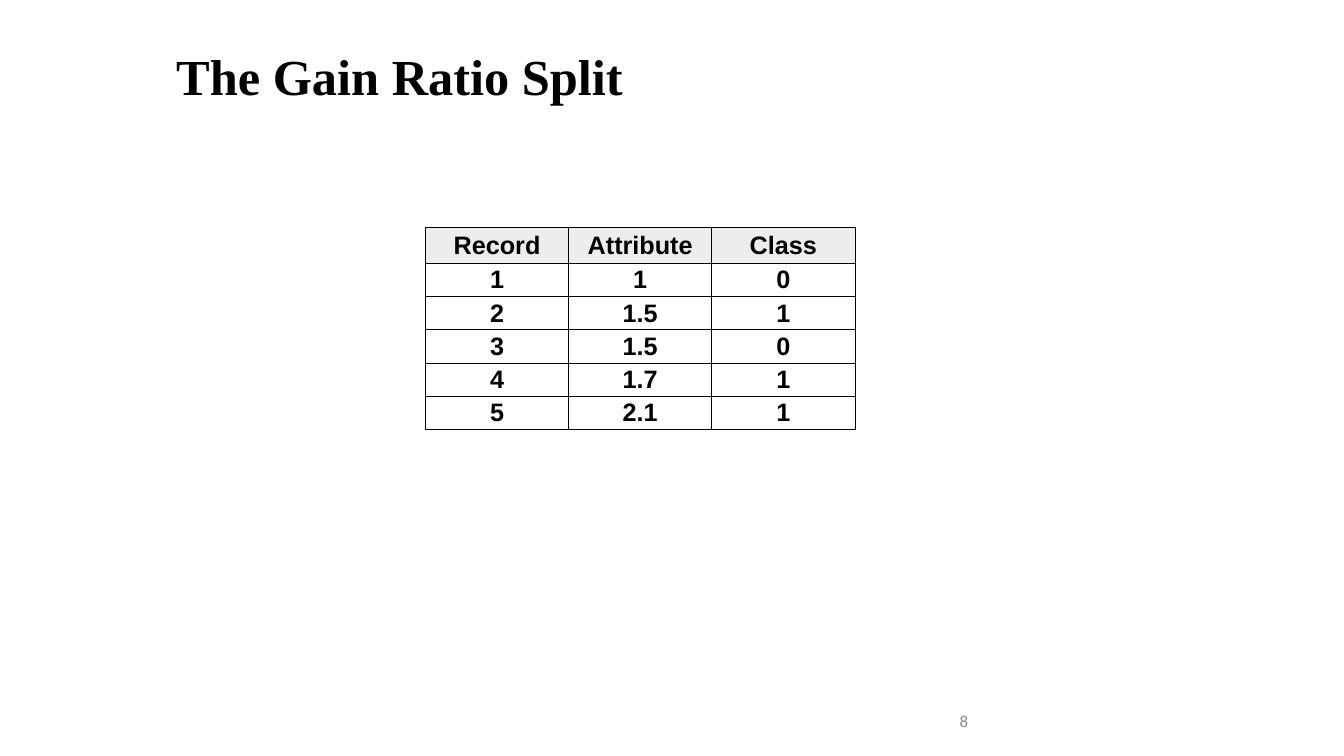
from dataclasses import dataclass

from lxml.etree import SubElement
from pptx import Presentation
from pptx.dml.color import RGBColor
from pptx.enum.text import MSO_ANCHOR, PP_ALIGN
from pptx.oxml.ns import qn
from pptx.slide import Slide
from pptx.table import _Cell
from pptx.text.text import _Paragraph
from pptx.util import Inches, Pt

COLORS = {"ink": "000000", "header": "EDEDED", "number": "8C8C8C"}
RECORDS = [
    ("Record", "Attribute", "Class"),
    ("1", "1", "0"),
    ("2", "1.5", "1"),
    ("3", "1.5", "0"),
    ("4", "1.7", "1"),
    ("5", "2.1", "1"),
]
COLUMN_WIDTH = 1.42
HEADER_HEIGHT, RECORD_HEIGHT = 0.35, 0.33


@dataclass
class TextStyle:
    font: str
    size: int
    color: str
    bold: bool = False


@dataclass
class Label:
    text: str
    left: float
    top: float
    width: float
    height: float
    style: TextStyle
    line_spacing: float = 1.0


LABELS = [
    Label("The Gain Ratio Split", 1.65, 0.37, 10.5, 0.83,
          TextStyle("Times New Roman", 36, "ink", True), 0.9),
    Label("8", 9.42, 6.95, 3, 0.4, TextStyle("Calibri", 12, "number")),
]
CELL_STYLE = TextStyle("Arial", 18, "ink", True)


def write(paragraph: _Paragraph, text: str, style: TextStyle) -> None:
    paragraph.text = text
    paragraph.font.name = style.font
    paragraph.font.size = Pt(style.size)
    paragraph.font.bold = style.bold
    paragraph.font.color.rgb = RGBColor.from_string(COLORS[style.color])


def draw_label(slide: Slide, label: Label) -> None:
    frame = slide.shapes.add_textbox(
        Inches(label.left), Inches(label.top),
        Inches(label.width), Inches(label.height)).text_frame
    frame.word_wrap = True
    frame.vertical_anchor = MSO_ANCHOR.MIDDLE
    frame.paragraphs[0].line_spacing = label.line_spacing
    write(frame.paragraphs[0], label.text, label.style)


def add_borders(cell: _Cell) -> None:
    properties = cell._tc.get_or_add_tcPr()
    for side in ("lnL", "lnR", "lnT", "lnB"):
        border = SubElement(properties, qn(f"a:{side}"), w=str(Pt(0.5)))
        fill = SubElement(border, qn("a:solidFill"))
        SubElement(fill, qn("a:srgbClr"), val=COLORS["ink"])


def draw_cell(cell: _Cell, text: str, is_header: bool) -> None:
    add_borders(cell)
    if is_header:
        cell.fill.solid()
        cell.fill.fore_color.rgb = RGBColor.from_string(COLORS["header"])
    else:
        cell.fill.background()
    cell.margin_left = cell.margin_right = cell.margin_top = Inches(0.01)
    cell.margin_bottom = Inches(0)
    cell.vertical_anchor = MSO_ANCHOR.MIDDLE
    paragraph = cell.text_frame.paragraphs[0]
    paragraph.alignment = PP_ALIGN.CENTER
    write(paragraph, text, CELL_STYLE)


def draw_records(slide: Slide) -> None:
    heights = [HEADER_HEIGHT] + [RECORD_HEIGHT] * (len(RECORDS) - 1)
    records = slide.shapes.add_table(
        len(RECORDS), len(RECORDS[0]), Inches(4.22), Inches(2.26),
        Inches(COLUMN_WIDTH * len(RECORDS[0])), Inches(sum(heights))).table
    for column in records.columns:
        column.width = Inches(COLUMN_WIDTH)
    for row_index, (record, height) in enumerate(zip(RECORDS, heights)):
        records.rows[row_index].height = Inches(height)
        for column_index, text in enumerate(record):
            draw_cell(records.cell(row_index, column_index), text, row_index == 0)


def main() -> None:
    presentation = Presentation()
    presentation.slide_width = Inches(13.33)
    presentation.slide_height = Inches(7.5)
    slide = presentation.slides.add_slide(presentation.slide_layouts[6])
    for label in LABELS:
        draw_label(slide, label)
    draw_records(slide)
    presentation.save("out.pptx")


if __name__ == "__main__":
    main()
